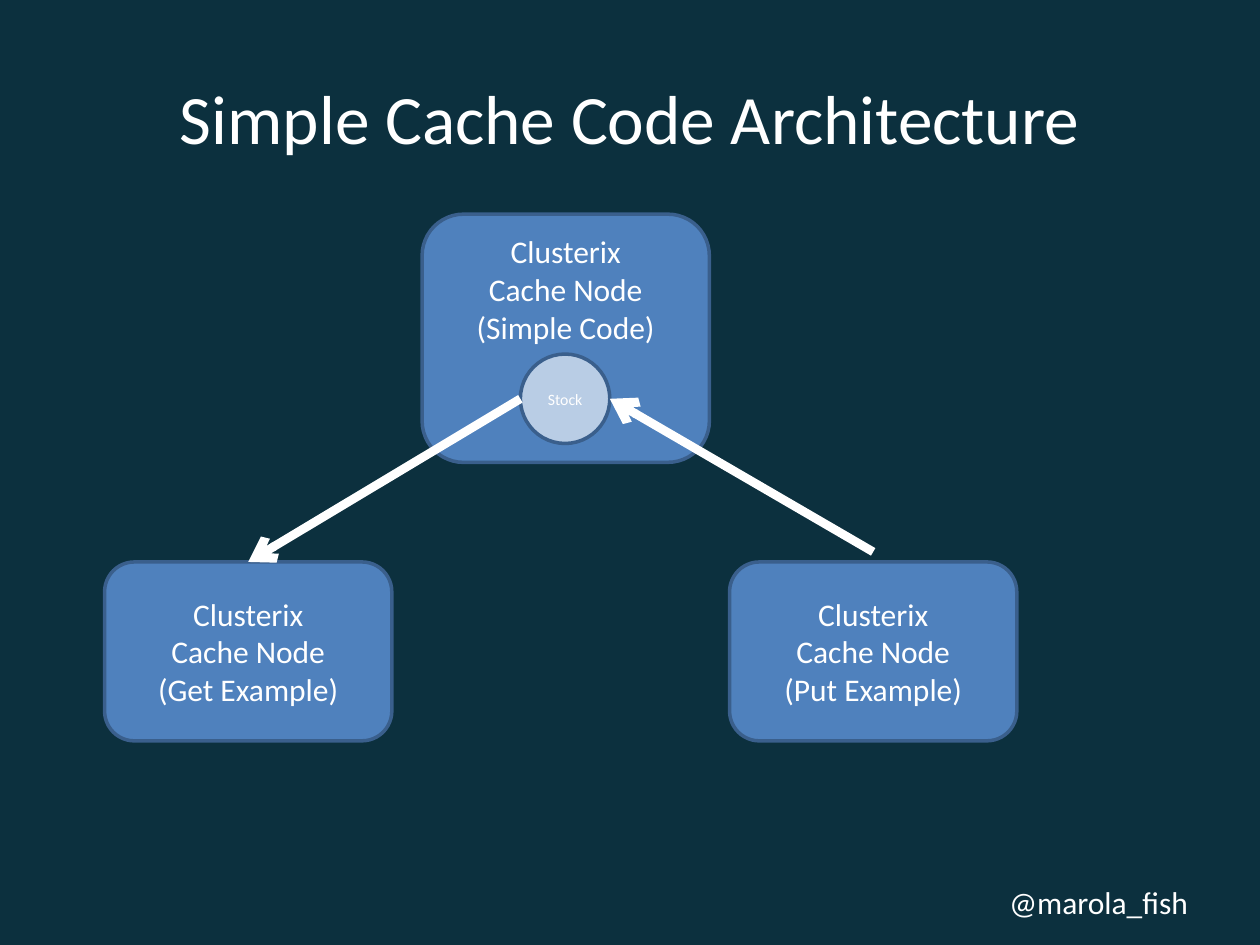
from lxml import etree
from pptx import Presentation
from pptx import util as u
from pptx.dml.color import RGBColor
from pptx.enum import shapes, text
from pptx.oxml.ns import qn

BACKGROUND = RGBColor(0x0C, 0x30, 0x3E)
WHITE = RGBColor(0xFF, 0xFF, 0xFF)
NODE_BLUE = RGBColor(0x4F, 0x81, 0xBD)
CACHE_BLUE = RGBColor(0xB9, 0xCD, 0xE5)
OUTLINE = RGBColor(0x3A, 0x5F, 0x8C)

NODE_WIDTH = 2.28
CLIENT_TOP, CLIENT_HEIGHT = 4.46, 1.42
CACHE_LEFT, CACHE_TOP, CACHE_SIZE = 4.13, 2.81, 0.71


class Diagram:
    font = "Calibri"

    def __init__(self, slide):
        self.slide = slide
        slide.background.fill.solid()
        slide.background.fill.fore_color.rgb = BACKGROUND

    def set_text(self, frame, lines, size, align, anchor):
        frame.vertical_anchor = anchor
        for i, line in enumerate(lines):
            paragraph = frame.add_paragraph() if i else frame.paragraphs[0]
            paragraph.text = line
            paragraph.alignment = align
            paragraph.font.name = self.font
            paragraph.font.size = u.Pt(size)
            paragraph.font.color.rgb = WHITE

    def label(self, box, line, size, align=text.PP_ALIGN.CENTER,
              anchor=text.MSO_ANCHOR.MIDDLE, wrap=True):
        frame = self.slide.shapes.add_textbox(*map(u.Inches, box)).text_frame
        frame.word_wrap = wrap
        self.set_text(frame, [line], size, align, anchor)

    def block(self, kind, box, fill, lines, size=18,
              anchor=text.MSO_ANCHOR.MIDDLE):
        block = self.slide.shapes.add_shape(kind, *map(u.Inches, box))
        block.shadow.inherit = False
        block.fill.solid()
        block.fill.fore_color.rgb = fill
        block.line.color.rgb = OUTLINE
        block.line.width = u.Pt(2)
        self.set_text(block.text_frame, lines, size, text.PP_ALIGN.CENTER,
                      anchor)
        return block

    def node(self, left, top, height, role, anchor=text.MSO_ANCHOR.MIDDLE):
        return self.block(shapes.MSO_SHAPE.ROUNDED_RECTANGLE,
                          (left, top, NODE_WIDTH, height), NODE_BLUE,
                          ["Clusterix", "Cache Node", f"({role})"],
                          anchor=anchor)

    def arrow(self, start, end):
        arrow = self.slide.shapes.add_connector(
            shapes.MSO_CONNECTOR.STRAIGHT, *map(u.Inches, start + end))
        arrow.line.color.rgb = WHITE
        arrow.line.width = u.Pt(5)
        properties = arrow._element.spPr
        etree.SubElement(properties.find(qn("a:ln")), qn("a:tailEnd"),
                         type="arrow")
        etree.SubElement(properties, qn("a:effectLst"))
        return arrow


def main():
    deck = Presentation()
    deck.slide_width, deck.slide_height = u.Inches(10), u.Inches(7.5)
    diagram = Diagram(deck.slides.add_slide(deck.slide_layouts[6]))

    diagram.label((7.91, 6.96, 1.71, 0.4), "@marola_fish", 18,
                  text.PP_ALIGN.LEFT, text.MSO_ANCHOR.TOP, wrap=False)
    diagram.label((0.5, 0.3, 9, 1.25), "Simple Cache Code Architecture", 39.6)

    diagram.node(3.35, 1.7, 1.97, "Simple Code", text.MSO_ANCHOR.TOP)
    get_node = diagram.node(0.83, CLIENT_TOP, CLIENT_HEIGHT, "Get Example")
    diagram.node(5.79, CLIENT_TOP, CLIENT_HEIGHT, "Put Example")
    diagram.block(shapes.MSO_SHAPE.OVAL,
                  (CACHE_LEFT, CACHE_TOP, CACHE_SIZE, CACHE_SIZE),
                  CACHE_BLUE, ["Stock"], size=9)

    cache_middle = CACHE_TOP + CACHE_SIZE / 2
    diagram.arrow((6.93, 4.38), (CACHE_LEFT + CACHE_SIZE, cache_middle))
    get_arrow = diagram.arrow((CACHE_LEFT, cache_middle), (1.97, CLIENT_TOP))
    get_arrow.end_connect(get_node, 0)

    deck.save("out.pptx")


if __name__ == "__main__":
    main()
